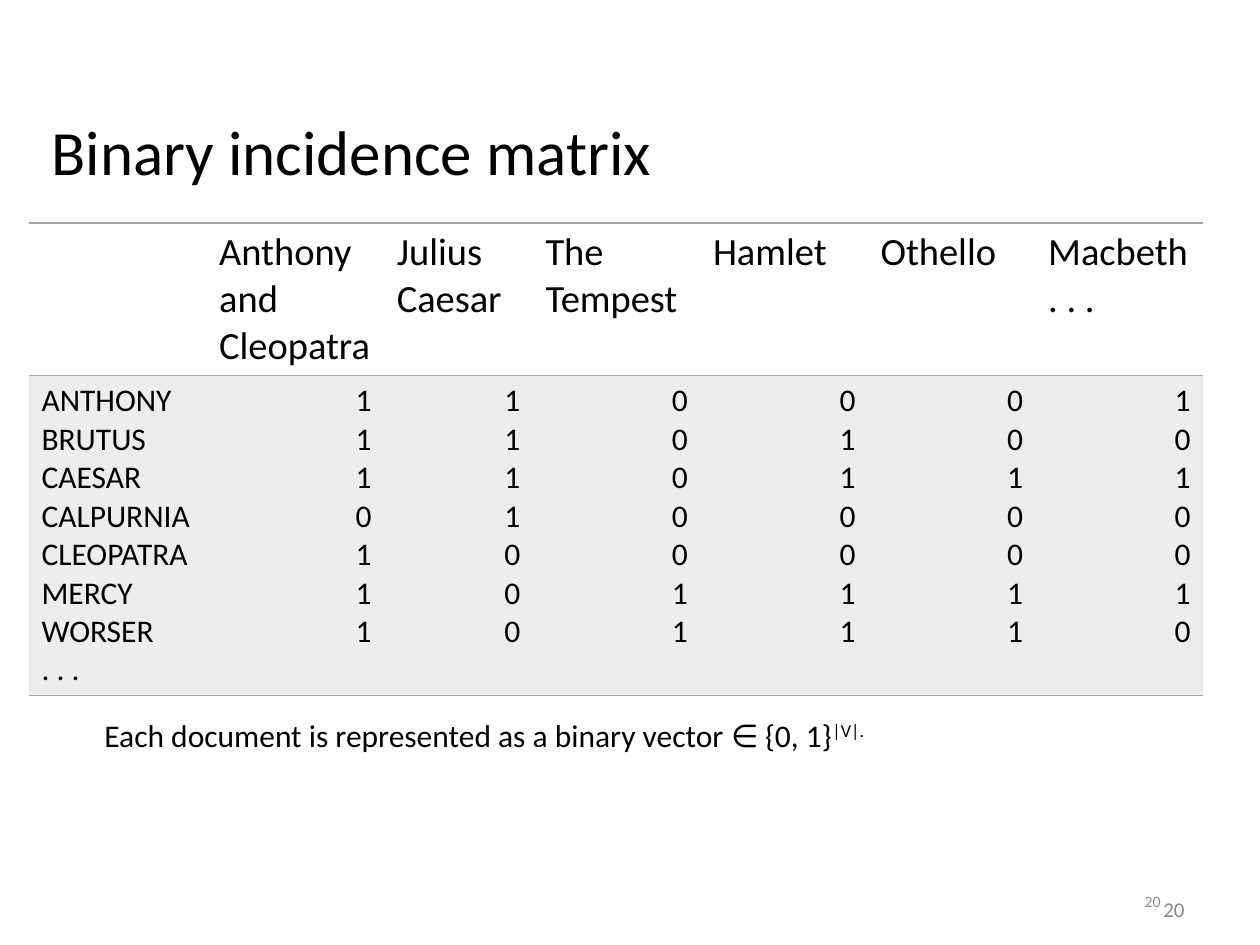
from lxml.etree import SubElement
from pptx import Presentation
from pptx.dml.color import RGBColor
from pptx.enum.text import MSO_ANCHOR, PP_ALIGN
from pptx.oxml.ns import qn
from pptx.util import Inches, Pt

BLACK = RGBColor(0x00, 0x00, 0x00)
RULE_GRAY = RGBColor(0xA5, 0xA5, 0xA5)
NUMBER_GRAY = RGBColor(0x89, 0x89, 0x89)
SMALL_NUMBER_GRAY = RGBColor(0x8C, 0x8C, 0x8C)
PLAIN_TABLE_STYLE = "{2D5ABB26-0587-4C30-8999-92F81FD0307C}"

PLAYS = ["Anthony and Cleopatra", "Julius Caesar", "The Tempest",
         "Hamlet", "Othello", "Macbeth . . ."]
INCIDENCE = {
    "ANTHONY": "110001",
    "BRUTUS": "110100",
    "CAESAR": "110111",
    "CALPURNIA": "010000",
    "CLEOPATRA": "100000",
    "MERCY": "101111",
    "WORSER": "101110",
}
COLUMN_WIDTHS = [1.41, 1.41, 1.18] + [1.33] * 4
ROW_HEIGHTS = [1.21, 2.54]


def add_span(para, text, size, color=BLACK):
    span = para.add_run()
    span.text = text
    values = {"name": "Calibri", "size": Pt(size)}
    for name, value in values.items():
        setattr(span.font, name, value)
    span.font.color.rgb = color
    return span


def add_text(page, box, text, size, color=BLACK,
             anchor=MSO_ANCHOR.TOP, align=PP_ALIGN.LEFT):
    frame = page.shapes.add_textbox(*map(Inches, box)).text_frame
    frame.word_wrap = True
    frame.vertical_anchor = anchor
    para = frame.paragraphs[0]
    para.alignment = align
    add_span(para, text, size, color)
    return para


def add_note(page, box):
    para = add_text(
        page, box, "\tEach document is represented as a binary vector ∈ {0, 1}", 18)
    exponent = add_span(para, "|V|.", 18)
    exponent.font._element.set("baseline", "30000")


def add_rule(cell, side):
    """Draw a thin gray border; call before the cell gets its fill."""
    line = SubElement(cell._tc.get_or_add_tcPr(), qn(f"a:{side}"), w=str(Pt(1)))
    fill = SubElement(line, qn("a:solidFill"))
    SubElement(fill, qn("a:srgbClr"), val=str(RULE_GRAY))


def shade(cell):
    cell.fill.solid()
    cell.fill.fore_color.rgb = RULE_GRAY
    color = cell._tc.tcPr.find(qn("a:solidFill")).find(qn("a:srgbClr"))
    SubElement(color, qn("a:alpha"), val="20000")


def fill_cell(cell, lines, size, align=PP_ALIGN.LEFT):
    frame = cell.text_frame
    for index, line in enumerate(lines):
        para = frame.add_paragraph() if index else frame.paragraphs[0]
        para.alignment = align
        add_span(para, line, size)


def add_matrix(page, box):
    table = page.shapes.add_table(
        len(ROW_HEIGHTS), len(COLUMN_WIDTHS), *map(Inches, box)).table
    table.first_row = table.horz_banding = False
    table._tbl.tblPr.find(qn("a:tableStyleId")).text = PLAIN_TABLE_STYLE
    for column, width in zip(table.columns, COLUMN_WIDTHS):
        column.width = Inches(width)
    for row, height in zip(table.rows, ROW_HEIGHTS):
        row.height = Inches(height)

    for index in range(len(COLUMN_WIDTHS)):
        header, body = table.cell(0, index), table.cell(1, index)
        for cell in (header, body):
            add_rule(cell, "lnT")
            add_rule(cell, "lnB")
        header.fill.background()
        shade(body)
        if index:
            fill_cell(header, [PLAYS[index - 1]], 22)
            values = [bits[index - 1] for bits in INCIDENCE.values()]
            fill_cell(body, values, 18, PP_ALIGN.RIGHT)
        else:
            fill_cell(body, [*INCIDENCE, ". . ."], 18)


def main():
    deck = Presentation()
    deck.slide_width, deck.slide_height = Inches(10), Inches(7.5)
    page = deck.slides.add_slide(deck.slide_layouts[6])
    number_format = {"anchor": MSO_ANCHOR.MIDDLE, "align": PP_ALIGN.RIGHT}
    add_text(page, (7.17, 7.08, 2.33, 0.27), "20", 12, NUMBER_GRAY, **number_format)
    add_text(page, (0.31, 0.01, 9.38, 1.53), "Binary incidence matrix", 36,
             anchor=MSO_ANCHOR.BOTTOM)
    add_note(page, (0.23, 5.63, 9.38, 1.87))
    add_text(page, (7.06, 6.95, 2.25, 0.4), "20", 9, SMALL_NUMBER_GRAY, **number_format)
    add_matrix(page, (0.23, 1.77, sum(COLUMN_WIDTHS), sum(ROW_HEIGHTS)))
    deck.save("out.pptx")


if __name__ == "__main__":
    main()
